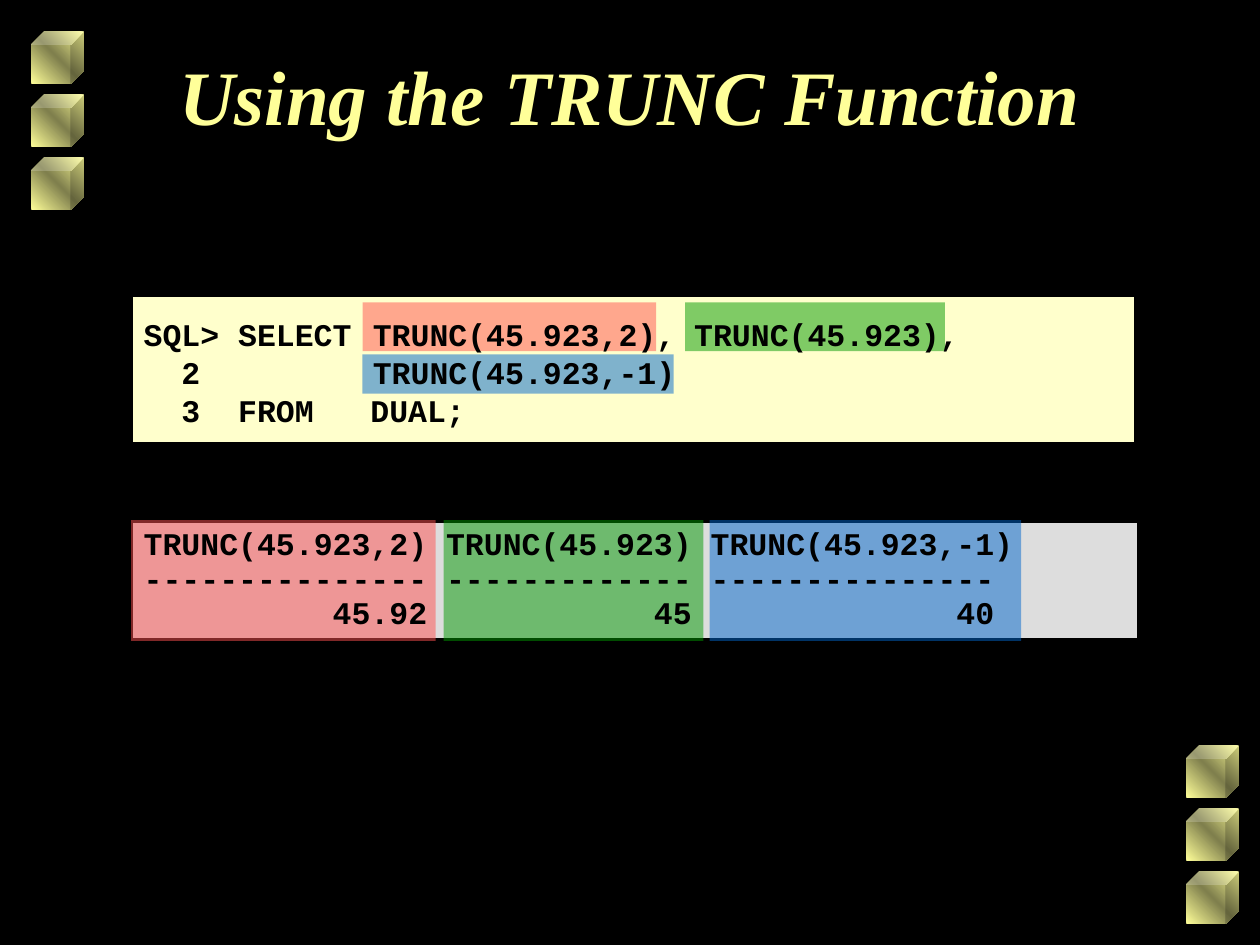
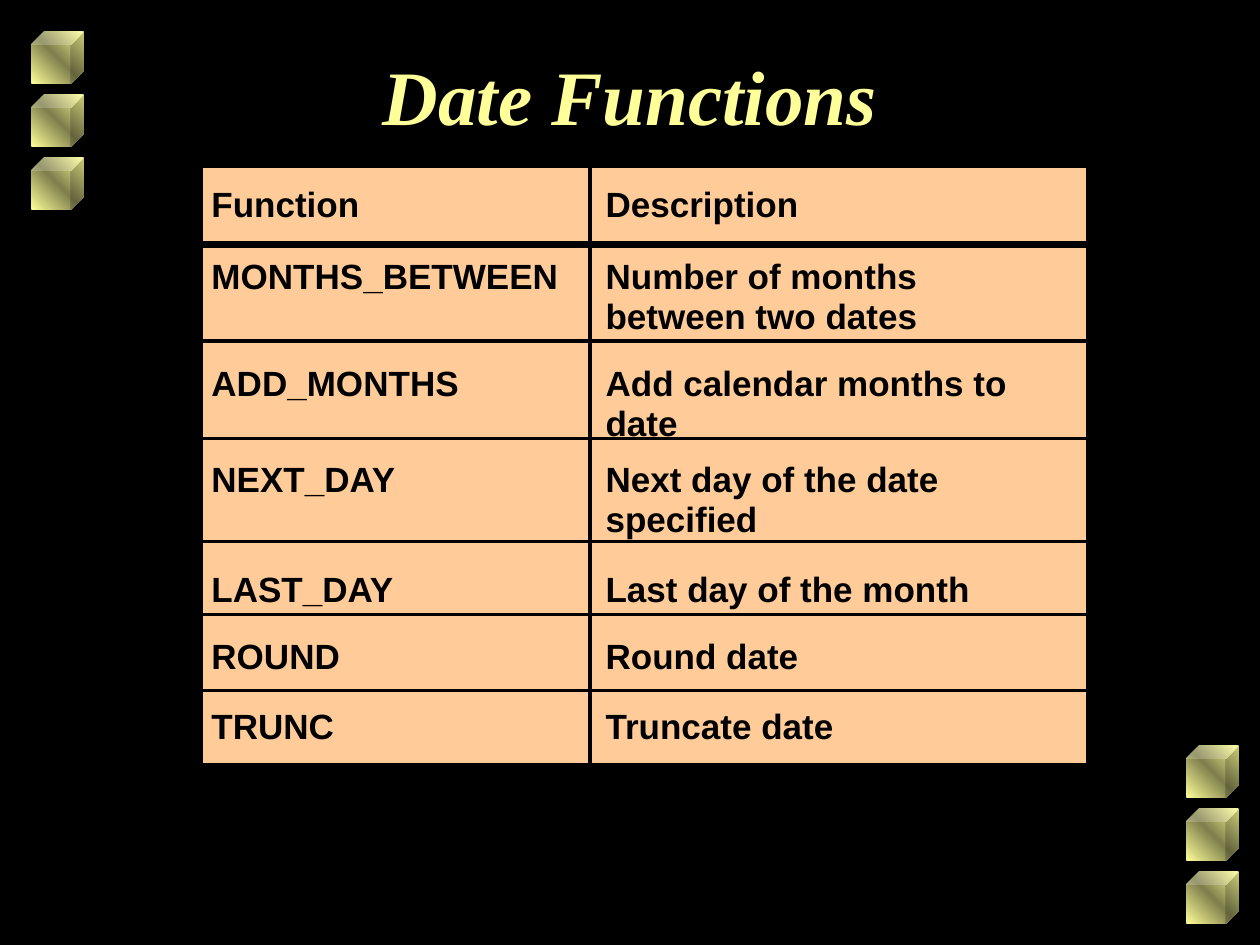
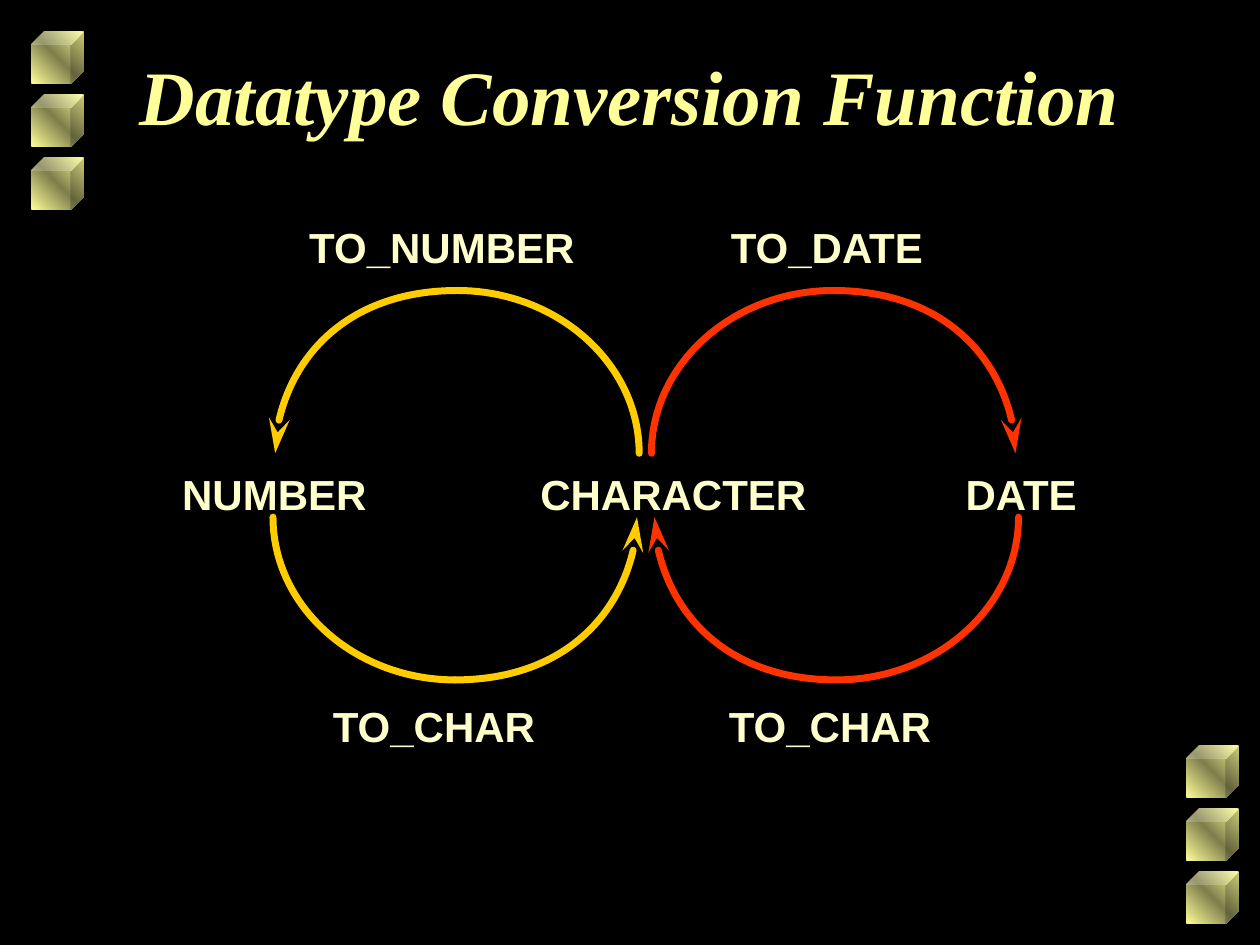
from copy import deepcopy

from lxml.etree import SubElement
from pptx import Presentation
from pptx.dml.color import RGBColor
from pptx.enum.shapes import MSO_CONNECTOR as Connector, MSO_SHAPE as Shape
from pptx.enum.text import MSO_ANCHOR as Anchor, PP_ALIGN as Align
from pptx.oxml.ns import qn
from pptx.util import Pt

COLORS = {
    "black": "000000", "title": "FFFF99", "cube shade": "7F7F4D",
    "code panel": "FFFFCC", "result panel": "DDDDDD", "table": "FFCC99",
    "label": "FFFFCC", "red": "FF5050", "green": "009900", "blue": "0066CC",
    "number arrow": "FFCC00", "date arrow": "FF3300",
}
FORMATS = {
    "title": {"name": "Times New Roman", "size": Pt(44), "bold": True, "italic": True},
    "code": {"name": "Courier New", "size": Pt(18), "bold": True},
    "table": {"name": "Arial", "size": Pt(20), "bold": True},
    "label": {"name": "Arial", "size": Pt(24), "bold": True},
}

# Shared decoration: columns of three cubes
CUBE_SIZE, CUBE_STEP, CUBES_PER_COLUMN = 30, 36, 3
CUBE_COLUMNS = [(18, 18), (678, 426)]
TITLE_BOX = (54, 24, 612, 90)

# TRUNC slide; boxes are left, top, width, height
TRUNC_TITLE = "Using the TRUNC Function"
CODE_LINES = [
    "SQL> SELECT \tTRUNC(45.923,2), TRUNC(45.923),",
    "  2  \t\tTRUNC(45.923,-1)",
    "  3  FROM   DUAL;",
]
RESULT_LINES = [
    "TRUNC(45.923,2) TRUNC(45.923) TRUNC(45.923,-1)",
    "--------------- ------------- ---------------",
    "          45.92            45              40",
]
CODE_TABS = (94.5, 131)
PANELS = [("code panel", (75, 169, 574, 84.75)), ("result panel", (75, 298, 576, 67.5))]
CODE_BOX, RESULT_BOX = (75, 150.25, 576, 124.5), (75, 298.6, 574, 65.5)
RESULT_TOP, RESULT_HEIGHT = 297.25, 69
# colour, box in the code, left and width in the result
HIGHLIGHTS = [
    ("red", (207.25, 172.75, 167.75, 28), 75, 174),
    ("green", (391.5, 172.75, 148.5, 28), 253.5, 148.5),
    ("blue", (207, 202.5, 178, 22.5), 405.5, 178),
]

# Date functions slide: function, description, top of the text
DATE_TITLE = "Date Functions"
DATE_ROWS = [
    ("Function", "Description", 102.5),
    ("MONTHS_BETWEEN", "Number of months\vbetween two dates", 144),
    ("ADD_MONTHS", "Add calendar months to date", 205.25),
    ("NEXT_DAY", "Next day of the date specified", 260),
    ("LAST_DAY", "Last day of the month", 322.75),
    ("ROUND", "Round date", 360.75),
    ("TRUNC", "Truncate date", 401),
]
GRID_LEFT, GRID_TOP, GRID_HEIGHT = 115, 95, 342
COLUMN_WIDTHS = (222, 284.5)
TEXT_LEFTS, TEXT_WIDTH, TEXT_HEIGHT = (113.75, 339), 285, 29
RULES = [(139.75, 4), (195, 2), (250.5, 2), (309.5, 2), (351.25, 2), (394.5, 2)]

# Conversion slide
CONVERSION_TITLE = "Datatype Conversion Function"
LABEL_HEIGHT = 36
LABELS = [  # text, left, top, width
    ("NUMBER", 54.25, 264, 205), ("CHARACTER", 282.25, 264, 205),
    ("DATE", 515, 264, 137),
    ("TO_NUMBER", 150, 123.25, 205), ("TO_DATE", 370, 123.25, 205),
    ("TO_CHAR", 145.5, 396.75, 205), ("TO_CHAR", 371.75, 396.75, 205),
]
LEFT, RIGHT, UP, DOWN = -1, 1, -1, 1
RADIUS_X, RADIUS_Y, CURVATURE = 104, 93, 0.55
ARCS = [  # colour, centre x, centre y, bulge, side with the arrowhead
    ("number arrow", 261.25, 259, UP, LEFT),
    ("number arrow", 260, 295.5, DOWN, RIGHT),
    ("date arrow", 476.25, 259, UP, RIGHT),
    ("date arrow", 478, 295.5, DOWN, LEFT),
]


def rgb(name):
    return RGBColor.from_string(COLORS[name])


def points(values):
    return [Pt(value) for value in values]


def add_text(slide, box, lines, format_name, color, align=Align.LEFT,
             anchor=Anchor.TOP, spacing=None, tabs=()):
    frame = slide.shapes.add_textbox(*points(box)).text_frame
    frame.word_wrap = True
    frame.vertical_anchor = anchor
    frame.text = "\n".join(lines)
    for paragraph in frame.paragraphs:
        paragraph.alignment = align
        paragraph.line_spacing = spacing
        if tabs:
            properties = paragraph._p.get_or_add_pPr()
            tab_list = SubElement(properties, qn("a:tabLst"))
            for position in tabs:
                SubElement(tab_list, qn("a:tab"), pos=str(Pt(position)), algn="l")
        for attribute, value in FORMATS[format_name].items():
            setattr(paragraph.font, attribute, value)
        paragraph.font.color.rgb = rgb(color)


def set_line(shape, color, width):
    shape.line.color.rgb = rgb(color)
    shape.line.width = Pt(width)


def add_block(slide, box, color, kind=Shape.RECTANGLE, outlined=False, alpha=None):
    shape = slide.shapes.add_shape(kind, *points(box))
    shape.shadow.inherit = False
    shape.fill.solid()
    shape.fill.fore_color.rgb = rgb(color)
    if alpha:
        value = shape.element.spPr.find(".//" + qn("a:srgbClr"))
        SubElement(value, qn("a:alpha"), val=str(alpha * 1000))
    if outlined:
        set_line(shape, "black", 2)
    else:
        shape.line.fill.background()
    return shape


def add_cube(slide, left, top):
    cube = add_block(slide, (left, top, CUBE_SIZE, CUBE_SIZE), "title", Shape.CUBE)
    cube.fill.gradient()
    cube.fill.gradient_angle = 45
    stop_list = cube.element.spPr.find(".//" + qn("a:gsLst"))
    stop_list.insert(1, deepcopy(stop_list[0]))
    names = ("title", "cube shade", "title")
    for index, (stop, name) in enumerate(zip(cube.fill.gradient_stops, names)):
        stop.position = index / 2
        stop.color.rgb = rgb(name)


def add_slide(presentation, title):
    """Add a slide with the shared cubes and title."""
    slide = presentation.slides.add_slide(presentation.slide_layouts[6])
    for left, top in CUBE_COLUMNS:
        for index in range(CUBES_PER_COLUMN):
            add_cube(slide, left, top + index * CUBE_STEP)
    add_text(slide, TITLE_BOX, [title], "title", "title", Align.CENTER)
    return slide


def add_rule(slide, top, width):
    right = GRID_LEFT + sum(COLUMN_WIDTHS)
    rule = slide.shapes.add_connector(
        Connector.STRAIGHT, *points((GRID_LEFT, top, right, top)))
    set_line(rule, "black", width)
    SubElement(rule.element.spPr, qn("a:effectLst"))


def bend(shape):
    """Turn the single straight segment of a freeform into a quarter ellipse."""
    segment = shape.element.spPr.find(".//" + qn("a:lnTo"))
    start, end = [
        (int(point.get("x")), int(point.get("y")))
        for point in segment.getparent().iter(qn("a:pt"))
    ]
    first_x = start[0] + CURVATURE * (end[0] - start[0])
    second_y = end[1] - CURVATURE * (end[1] - start[1])
    curve = SubElement(segment.getparent(), qn("a:cubicBezTo"))
    for x, y in ((first_x, start[1]), (end[0], second_y), end):
        SubElement(curve, qn("a:pt"), x=str(round(x)), y=str(round(y)))
    segment.getparent().remove(segment)


def add_quarter_arc(slide, center_x, center_y, side, bulge, color, arrow):
    """Draw a quarter ellipse from the top or bottom of the arc to one side."""
    builder = slide.shapes.build_freeform(
        *points((center_x, center_y + bulge * RADIUS_Y)))
    side_end = points((center_x + side * RADIUS_X, center_y))
    builder.add_line_segments([side_end], close=False)
    arc = builder.convert_to_shape()
    bend(arc)
    arc.shadow.inherit = False
    arc.fill.background()
    set_line(arc, color, 4)
    line = arc.line._get_or_add_ln()
    line.set("cap", "rnd")
    SubElement(line, qn("a:round"))
    if arrow:
        SubElement(line, qn("a:tailEnd"), type="stealth", w="med", len="lg")


def build_trunc_slide(presentation):
    slide = add_slide(presentation, TRUNC_TITLE)
    for color, box in PANELS:
        add_block(slide, box, color, outlined=True)
    for color, code_box, left, width in HIGHLIGHTS:
        for box in ((left, RESULT_TOP, width, RESULT_HEIGHT), code_box):
            add_block(slide, box, color, alpha=50)
    add_text(slide, CODE_BOX, CODE_LINES, "code", "black",
             anchor=Anchor.MIDDLE, tabs=CODE_TABS)
    add_text(slide, RESULT_BOX, RESULT_LINES, "code", "black", spacing=0.9)


def build_date_slide(presentation):
    slide = add_slide(presentation, DATE_TITLE)
    left = GRID_LEFT
    for width in COLUMN_WIDTHS:
        add_block(slide, (left, GRID_TOP, width, GRID_HEIGHT), "table", outlined=True)
        left += width
    for top, width in RULES:
        add_rule(slide, top, width)
    for *texts, top in DATE_ROWS:
        for text_left, text in zip(TEXT_LEFTS, texts):
            add_text(slide, (text_left, top, TEXT_WIDTH, TEXT_HEIGHT), [text],
                     "table", "black", spacing=0.94)


def build_conversion_slide(presentation):
    slide = add_slide(presentation, CONVERSION_TITLE)
    for color, center_x, center_y, bulge, arrow_side in ARCS:
        for side in (LEFT, RIGHT):
            add_quarter_arc(slide, center_x, center_y, side, bulge, color,
                            side == arrow_side)
    for text, left, top, width in LABELS:
        add_text(slide, (left, top, width, LABEL_HEIGHT), [text], "label", "label",
                 Align.CENTER)


def main():
    presentation = Presentation()
    presentation.slide_width, presentation.slide_height = Pt(720), Pt(540)
    background = presentation.slide_master.background.fill
    background.solid()
    background.fore_color.rgb = rgb("black")
    build_trunc_slide(presentation)
    build_date_slide(presentation)
    build_conversion_slide(presentation)
    presentation.save("out.pptx")


if __name__ == "__main__":
    main()
